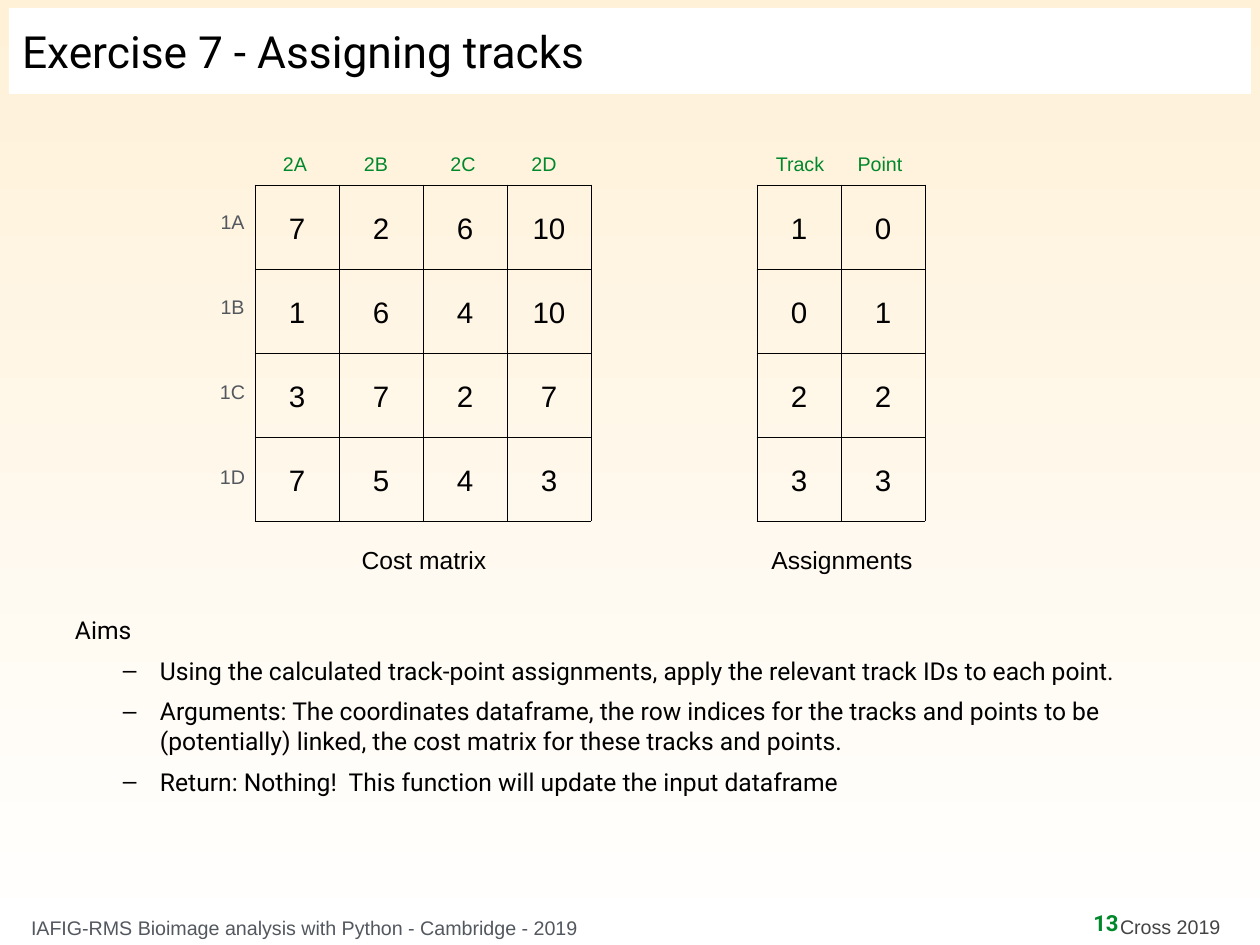
from lxml import etree
from pptx import Presentation, util as u
from pptx.dml.color import RGBColor
from pptx.enum import shapes as s, text as t
from pptx.oxml.ns import qn

# Content
TITLE = "Exercise 7 - Assigning tracks"
COST = [[7, 2, 6, 10], [1, 6, 4, 10], [3, 7, 2, 7], [7, 5, 4, 3]]
PAIRS = [[1, 0], [0, 1], [2, 2], [3, 3]]
ROWS = ["1A", "1B", "1C", "1D"]
# Column heads: text, centre
HEADS = [("2A", 295), ("2B", 376), ("2C", 463), ("2D", 544),
         ("Track", 800), ("Point", 880)]
# Captions: text, centre
NAMES = [("Cost matrix", 424), ("Assignments", 842)]
AIMS = [
    "Aims",
    "Using the calculated track-point assignments, apply the relevant "
    "track IDs to each point.",
    "Arguments: The coordinates dataframe, the row indices for the tracks "
    "and points to be (potentially) linked, the cost matrix for these "
    "tracks and points.",
    "Return: Nothing!  This function will update the input dataframe",
]

BLACK = RGBColor(0x00, 0x00, 0x00)
WHITE = RGBColor(0xFF, 0xFF, 0xFF)
CREAM = RGBColor(0xFF, 0xF1, 0xD8)
GREEN = RGBColor(0x00, 0x88, 0x2B)
SLATE = RGBColor(0x53, 0x58, 0x5F)
GREY = RGBColor(0x44, 0x44, 0x44)
LEFT, MID = t.PP_ALIGN.LEFT, t.PP_ALIGN.CENTER
CELL, TOP = 84, 185


def px(n):
    return u.Emu(n * 10320)


def style(para, size, color, face="Arial", align=LEFT, bold=False):
    para.alignment = align
    for run in para.runs:
        font = run.font
        font.size, font.name, font.bold = u.Pt(size), face, bold
        font.color.rgb = color


def inset(frame, side, edge):
    frame.margin_left = frame.margin_right = px(side)
    frame.margin_top = frame.margin_bottom = px(edge)


def label(words, x, y, w, h, size, color, face="Arial", align=MID,
          bold=False, wrap=True, pad=(9, 4)):
    frame = slide.shapes.add_textbox(px(x), px(y), px(w), px(h)).text_frame
    frame.word_wrap = wrap
    inset(frame, *pad)
    frame.text = words
    for para in frame.paragraphs:
        style(para, size, color, face, align, bold)
    return frame


def border(cell):
    props = cell._tc.get_or_add_tcPr()
    for i, side in enumerate(("a:lnL", "a:lnR", "a:lnT", "a:lnB")):
        line = etree.Element(qn(side), w=str(u.Pt(0.75)))
        fill = etree.SubElement(line, qn("a:solidFill"))
        etree.SubElement(fill, qn("a:srgbClr"), val=str(BLACK))
        props.insert(i, line)


def grid(data, x):
    rows, cols = len(data), len(data[0])
    table = slide.shapes.add_table(rows, cols, px(x), px(TOP),
                                   px(cols * CELL), px(rows * CELL)).table
    table.first_row = table.horz_banding = False
    for col in table.columns:
        col.width = px(CELL)
    for r, row in enumerate(data):
        table.rows[r].height = px(CELL)
        for c, value in enumerate(row):
            cell = table.cell(r, c)
            cell.fill.background()
            border(cell)
            # Numbers lie over the ruled cells
            frame = label(str(value), x + c * CELL, TOP + 21 + r * CELL,
                          CELL, 44, 24, BLACK)
            frame.vertical_anchor = t.MSO_ANCHOR.MIDDLE


deck = Presentation()
deck.slide_width, deck.slide_height = px(1260), px(945)
slide = deck.slides.add_slide(deck.slide_layouts[5])

# Background
back = slide.background.fill
back.gradient()
back.gradient_angle = 270
for stop, color, place in zip(back.gradient_stops, (CREAM, WHITE), (0, 1)):
    stop.color.rgb = color
    stop.position = place

# Footer
bar = slide.shapes.add_shape(s.MSO_SHAPE.RECTANGLE, px(8), px(915),
                             px(1252), px(30))
bar.shadow.inherit = False
bar.fill.solid()
bar.fill.fore_color.rgb = WHITE
bar.line.fill.background()
label("IAFIG-RMS Bioimage analysis with Python - Cambridge - 2019",
      24, 909, 569, 35, 16, SLATE, align=LEFT, wrap=False, pad=(7, 7))
label("Cross 2019", 1113, 908, 121, 38, 16, GREY, align=LEFT, wrap=False,
      pad=(7, 7))
label("13", 1086, 902, 40, 42, 18, GREEN, "Roboto", bold=True, wrap=False,
      pad=(7, 7))

# Title bar
title = slide.shapes.title
title.left, title.top, title.width, title.height = map(px, (9, 8, 1242, 86))
title.fill.solid()
title.fill.fore_color.rgb = WHITE
frame = title.text_frame
frame.text = TITLE
frame.auto_size = t.MSO_AUTO_SIZE.NONE
frame.vertical_anchor = t.MSO_ANCHOR.MIDDLE
inset(frame, 13, 7)
style(frame.paragraphs[0], 36, BLACK, "Roboto")

# Matrix and assignment tables with their labels
grid(COST, 255)
grid(PAIRS, 757)
for i, name in enumerate(ROWS):
    label(name, 205, 206 + 85 * i, 55, 33, 16, SLATE)
for name, mid in HEADS:
    label(name, mid - 38, 148, 76, 33, 16, GREEN)
for name, mid in NAMES:
    label(name, mid - 143, 541, 286, 39, 20, BLACK)

# Aims
aims = label("\n".join(AIMS), 68, 608, 1125, 231, 20, BLACK, "Roboto",
             LEFT, pad=(7, 7))
for para in aims.paragraphs[1:]:
    para.level = 1
    para.space_before = u.Pt(9)
    props = para._p.get_or_add_pPr()
    props.set("marL", str(px(85)))
    props.set("indent", str(px(-37)))
    etree.SubElement(props, qn("a:buFont"), typeface="Arial")
    etree.SubElement(props, qn("a:buChar"), char="–")

deck.save("out.pptx")
